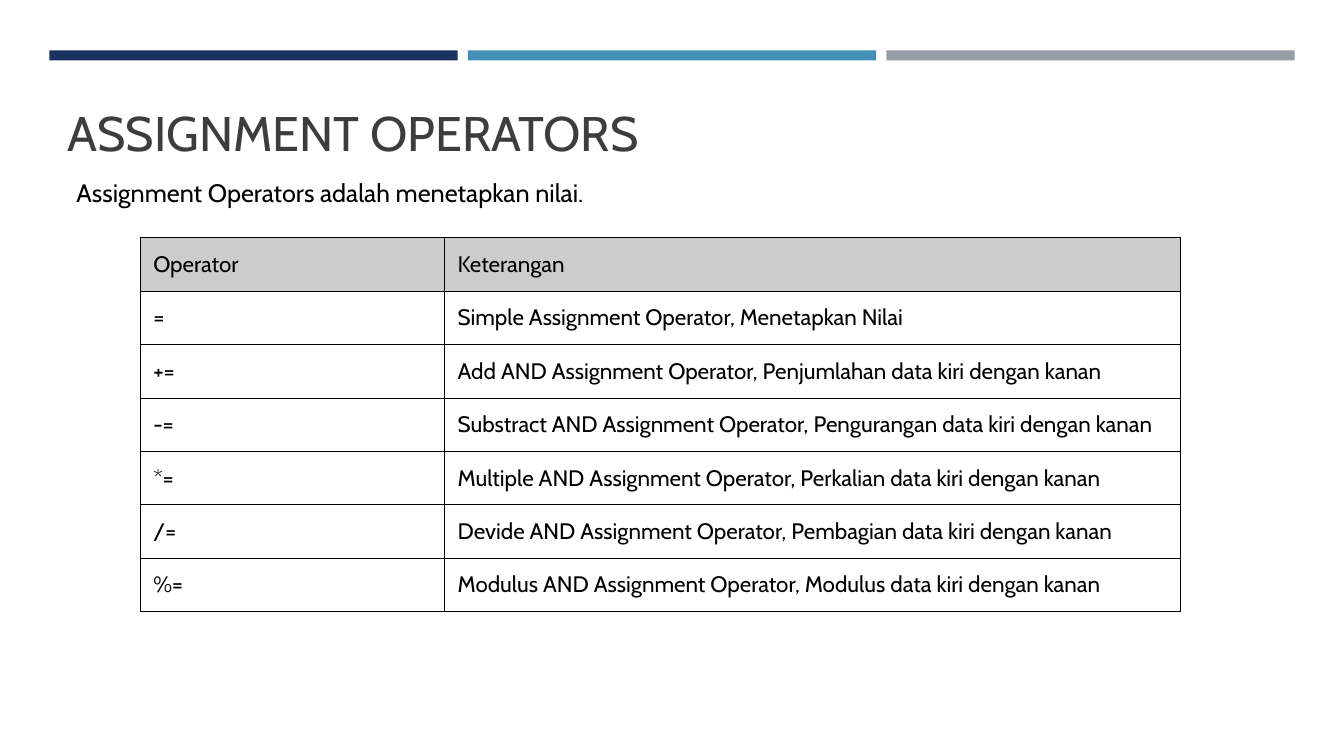
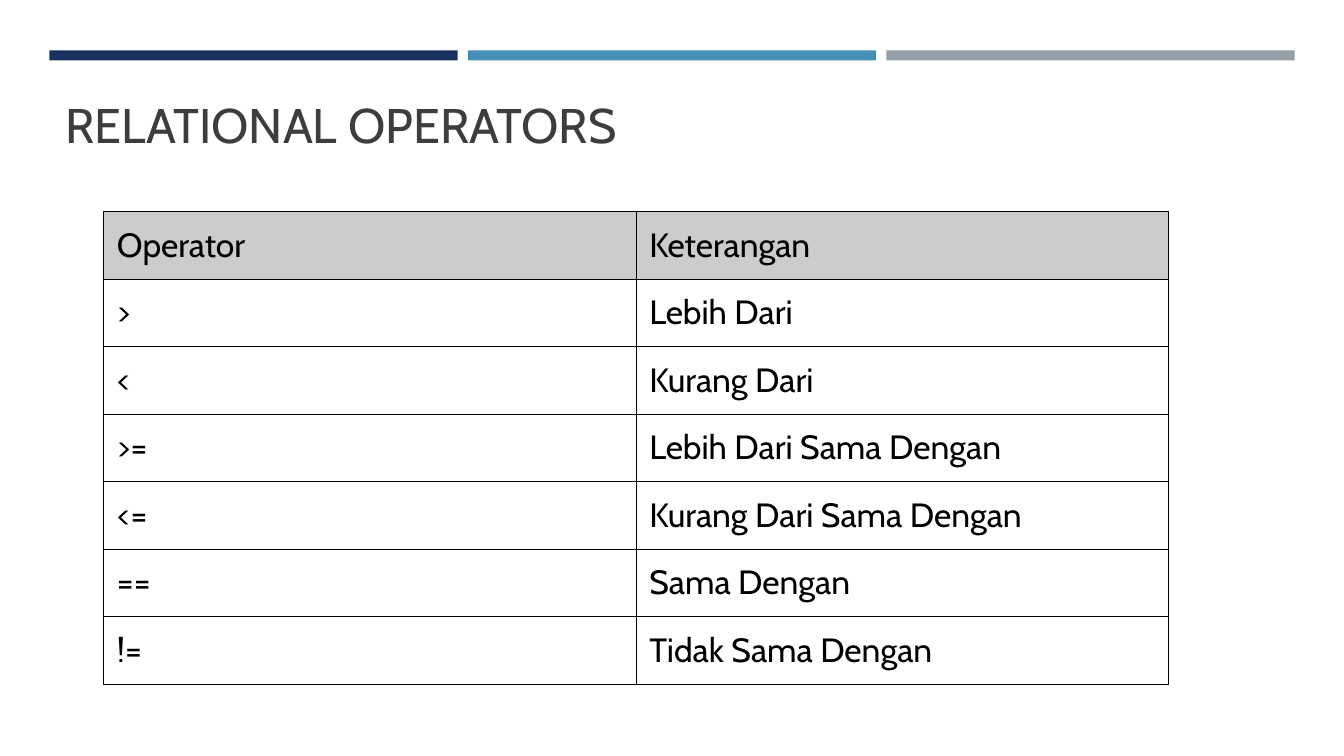
from lxml import etree
from pptx import Presentation
from pptx.dml.color import RGBColor
from pptx.enum.shapes import MSO_SHAPE
from pptx.enum.text import MSO_ANCHOR, MSO_AUTO_SIZE, PP_ALIGN
from pptx.oxml.ns import qn
from pptx.util import Inches, Pt

RECTANGLE = MSO_SHAPE.RECTANGLE
TOP, LEFT = MSO_ANCHOR.TOP, PP_ALIGN.LEFT
NO_FIT, GROW = MSO_AUTO_SIZE.NONE, MSO_AUTO_SIZE.SHAPE_TO_FIT_TEXT

NAVY = RGBColor(0x1A, 0x32, 0x60)
BLUE = RGBColor(0x45, 0x90, 0xB8)
GRAY = RGBColor(0x96, 0x9F, 0xA7)
TITLE_GRAY = RGBColor(0x3D, 0x3D, 0x3D)
HEADER_GRAY = RGBColor(0xCC, 0xCC, 0xCC)
BLACK = RGBColor(0x00, 0x00, 0x00)

FONT = "Cabin"
INSET = Inches(0.13)
BAND_COLORS = (NAVY, BLUE, GRAY)
BAND_LEFT, BAND_TOP, BAND_WIDTH, BAND_HEIGHT, BAND_GAP = 0.49, 0.5, 4.05, 0.1, 0.1
BORDER_SIDES = ("a:lnL", "a:lnR", "a:lnT", "a:lnB")
BORDER_WIDTH = Pt(0.75)

HEADER = ("Operator", "Keterangan")
SLIDES = [
    {
        "title": "ASSIGNMENT OPERATORS",
        "title_at": (0.54, 0.89),
        "intro": "Assignment Operators adalah menetapkan nilai.",
        "table_at": (1.39, 2.36),
        "columns": (3.02, 7.3),
        "row_height": 0.53,
        "size": 16,
        "rows": [
            ("=", "Simple Assignment Operator, Menetapkan Nilai"),
            ("+=", "Add AND Assignment Operator, Penjumlahan data kiri dengan kanan"),
            ("-=", "Substract AND Assignment Operator, Pengurangan data kiri dengan kanan"),
            ("*=", "Multiple AND Assignment Operator, Perkalian data kiri dengan kanan"),
            ("/=", "Devide AND Assignment Operator, Pembagian data kiri dengan kanan"),
            ("%=", "Modulus AND Assignment Operator, Modulus data kiri dengan kanan"),
        ],
    },
    {
        "title": "RELATIONAL OPERATORS",
        "title_at": (0.52, 0.81),
        "table_at": (1.03, 2.1),
        "columns": (5.28, 5.28),
        "row_height": 0.67,
        "size": 24,
        "rows": [
            (">", "Lebih Dari"),
            ("<", "Kurang Dari"),
            (">=", "Lebih Dari Sama Dengan"),
            ("<=", "Kurang Dari Sama Dengan"),
            ("==", "Sama Dengan"),
            ("!=", "Tidak Sama Dengan"),
        ],
    },
]


def set_values(target, values):
    for name, value in values.items():
        setattr(target, name, value)


def write_text(frame, text, size, color):
    paragraph = frame.paragraphs[0]
    paragraph.alignment = LEFT
    span = paragraph.add_run()
    span.text = text
    set_values(span.font, {"name": FONT, "size": Pt(size), "bold": False})
    span.font.color.rgb = color


def set_insets(target):
    set_values(target, dict.fromkeys(
        ("margin_left", "margin_top", "margin_right", "margin_bottom"), INSET))


def add_bands(page):
    for index, color in enumerate(BAND_COLORS):
        left = BAND_LEFT + index * (BAND_WIDTH + BAND_GAP)
        band = page.shapes.add_shape(RECTANGLE, Inches(left), Inches(BAND_TOP),
                                     Inches(BAND_WIDTH), Inches(BAND_HEIGHT))
        band.shadow.inherit = False
        band.fill.solid()
        band.fill.fore_color.rgb = color
        band.line.fill.background()


def add_title(page, text, position):
    title = page.shapes.title
    left, top = position
    set_values(title, {"left": Inches(left), "top": Inches(top),
                       "width": Inches(11.21), "height": Inches(0.78)})
    frame = title.text_frame
    set_values(frame, {"word_wrap": True, "auto_size": NO_FIT, "vertical_anchor": TOP})
    set_insets(frame)
    write_text(frame, text, 34.7, TITLE_GRAY)


def add_intro(page, text):
    box = page.shapes.add_textbox(Inches(0.66), Inches(1.71), Inches(10.04), Inches(0.4))
    set_values(box.text_frame, {"word_wrap": True, "auto_size": GROW})
    write_text(box.text_frame, text, 18, BLACK)


def add_borders(cell):
    """Draw the four sides; must run before the cell fill is set."""
    properties = cell._tc.get_or_add_tcPr()
    for side in BORDER_SIDES:
        line = etree.SubElement(properties, qn(side), w=str(BORDER_WIDTH))
        fill = etree.SubElement(line, qn("a:solidFill"))
        etree.SubElement(fill, qn("a:srgbClr"), val=str(BLACK))


def add_operator_table(page, content):
    rows = [HEADER] + content["rows"]
    columns = content["columns"]
    left, top = content["table_at"]
    height = content["row_height"]
    table = page.shapes.add_table(len(rows), len(columns), Inches(left), Inches(top),
                                  Inches(sum(columns)), Inches(height * len(rows))).table
    set_values(table, {"first_row": False, "horz_banding": False})
    for column, width in zip(table.columns, columns):
        column.width = Inches(width)
    for row_index, texts in enumerate(rows):
        table.rows[row_index].height = Inches(height)
        for column_index, text in enumerate(texts):
            cell = table.cell(row_index, column_index)
            set_insets(cell)
            add_borders(cell)
            if row_index == 0:
                cell.fill.solid()
                cell.fill.fore_color.rgb = HEADER_GRAY
            else:
                cell.fill.background()
            write_text(cell.text_frame, text, content["size"], BLACK)


def main():
    deck = Presentation()
    set_values(deck, {"slide_width": Inches(13.33), "slide_height": Inches(7.5)})
    title_only = deck.slide_layouts.get_by_name("Title Only")
    for content in SLIDES:
        page = deck.slides.add_slide(title_only)
        add_bands(page)
        add_title(page, content["title"], content["title_at"])
        add_operator_table(page, content)
        if "intro" in content:
            add_intro(page, content["intro"])
    deck.save("out.pptx")


if __name__ == "__main__":
    main()
